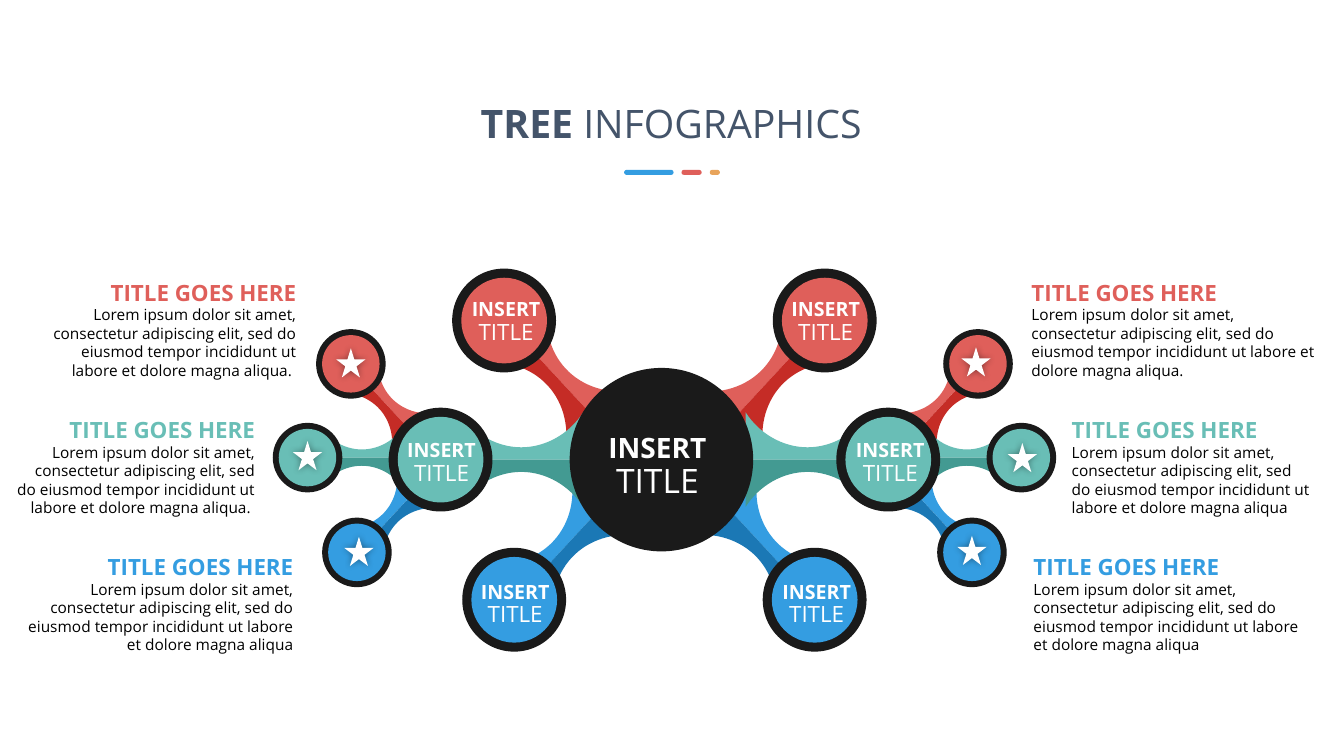
import math
import pptx
import pptx.util
import pptx.dml.color
import pptx.enum.shapes
import pptx.enum.text
from lxml import etree

Pt = pptx.util.Pt
RGB = pptx.dml.color.RGBColor
KIND = pptx.enum.shapes.MSO_SHAPE
ALIGN = pptx.enum.text.PP_ALIGN
ANCHOR = pptx.enum.text.MSO_ANCHOR
GROW = pptx.enum.text.MSO_AUTO_SIZE.SHAPE_TO_FIT_TEXT

RED, DARK_RED = RGB(0xDF, 0x5F, 0x5A), RGB(0xC5, 0x2C, 0x26)
TEAL, DARK_TEAL = RGB(0x69, 0xBE, 0xB6), RGB(0x43, 0x9A, 0x92)
BLUE, DARK_BLUE = RGB(0x34, 0x9D, 0xE1), RGB(0x1B, 0x78, 0xB5)
GOLD, SLATE = RGB(0xE8, 0xA4, 0x5B), RGB(0x44, 0x54, 0x6A)
INK, BLACK, WHITE = RGB(0x1A, 0x1A, 0x1A), RGB(0, 0, 0), RGB(255, 255, 255)
FONT = "Open Sans"
SPACE = "{http://schemas.openxmlformats.org/drawingml/2006/main}"

# All places are in inches; to_cm turns them into lengths.
AXIS = 13.18  # left x + right x of a mirrored pair
TILT = 47.2

HEAD = "TITLE GOES HERE"
LOREM = ("Lorem ipsum dolor sit amet, consectetur adipiscing elit, sed do eiusmod "
         "tempor incididunt ut labore et dolore magna aliqua")

# Right-hand half: (centre x, centre y, tilt, light, dark)
TWIGS = [(9.31, 5.14, TILT, BLUE, DARK_BLUE),
         (9.36, 4, -TILT, RED, DARK_RED),
         (9.59, 4.54, 0, TEAL, DARK_TEAL)]
LIMBS = [(7.6, 5.45, TILT, BLUE, DARK_BLUE),
         (7.66, 3.74, -TILT, RED, DARK_RED),
         (8.01, 4.56, 0, TEAL, DARK_TEAL)]
LEAVES = [(9.7, 3.61, RED), (10.13, 4.54, TEAL), (9.64, 5.48, BLUE)]
NODES = [(8.18, 3.18, RED), (8.81, 4.56, TEAL), (8.08, 5.95, BLUE)]

# (centre x, centre y, width, bold size, light size)
LABELS = [(6.52, 4.64, 1.41, 20, 24)] + [
    (x, y, 1.06, 14, 16) for x, y in
    [(8.19, 3.2), (8.83, 4.6), (8.1, 6), (5.02, 3.2), (4.38, 4.6), (5.11, 6)]]

STARS = [(3.48, 3.6), (3.05, 4.52), (3.56, 5.47),
         (9.68, 3.59), (10.14, 4.54), (9.64, 5.46)]

# (left, top, width, colour, side, ending)
NOTES = [(10.25, 5.48, 2.75, BLUE, ALIGN.LEFT, ""),
         (10.23, 2.76, 2.89, RED, ALIGN.LEFT, "."),
         (10.63, 4.12, 2.37, TEAL, ALIGN.LEFT, ""),
         (0.14, 5.48, 2.77, BLUE, ALIGN.RIGHT, ""),
         (0.51, 2.76, 2.43, RED, ALIGN.RIGHT, ". "),
         (0.14, 4.12, 2.39, TEAL, ALIGN.RIGHT, ". ")]

DASHES = [(6.19, 0.49, BLUE), (6.76, 0.2, RED), (7.04, 0.1, GOLD)]

# Upper half of a strand in a unit box: three corners, then two curves
CORNERS = [(0, 1), (1, 1), (1, 0)]
CURVES = [(0.89, 0.45), (0.7, 0.74), (0.5, 0.74),
          (0.3, 0.74), (0.11, 0.45), (0, 0)]


def to_cm(inch):
    return pptx.util.Cm(inch * 2.54)


deck = pptx.Presentation()
deck.slide_width, deck.slide_height = to_cm(13.33), to_cm(7.5)
slide = deck.slides.add_slide(deck.slide_layouts[6])
shapes = slide.shapes


def paint(shape, color):
    shape.fill.solid()
    shape.fill.fore_color.rgb = color
    shape.line.fill.background()
    shape.shadow.inherit = False
    return shape


def add_mark(kind, x, y, wide, high, color):
    """Add a preset shape centred on x, y."""
    box = map(to_cm, (x - wide / 2, y - high / 2, wide, high))
    return paint(shapes.add_shape(kind, *box), color)


def add_disc(x, y, outer, inner, color):
    for size, shade in ((outer, INK), (inner, color)):
        add_mark(KIND.OVAL, x, y, size, size, shade)


def bend(shape):
    """Turn each three lines after the corners into one Bézier curve."""
    lines = list(shape.element.iter(SPACE + "lnTo"))[len(CORNERS) - 1:]
    for i in range(0, len(lines), 3):
        curve = etree.Element(SPACE + "cubicBezTo")
        lines[i].addprevious(curve)
        for line in lines[i:i + 3]:
            curve.append(line[0])
            line.getparent().remove(line)


def add_strand(x, y, tilt, light, dark, wide, high):
    """Add the light upper and dark lower half of a strand centred on x, y."""
    turn = math.radians(tilt)
    for side, color in ((1, light), (-1, dark)):
        midx = x + side * math.sin(turn) * high / 2
        midy = y - side * math.cos(turn) * high / 2
        spots = [(to_cm(midx + (u - 0.5) * wide),
                  to_cm(midy + side * (v - 0.5) * high))
                 for u, v in CORNERS + CURVES]
        pen = shapes.build_freeform(*spots[0])
        pen.add_line_segments(spots[1:], close=True)
        half = paint(pen.convert_to_shape(), color)
        bend(half)
        half.rotation = tilt


def add_text(box, anchor):
    frame = shapes.add_textbox(*map(to_cm, box)).text_frame
    frame.word_wrap = True
    frame.vertical_anchor = anchor
    return frame


def add_run(para, text, size, color, bold):
    run = para.add_run()
    run.text = text
    font = run.font
    font.name, font.size, font.bold = FONT, Pt(size), bold
    font.color.rgb = color


def add_glow(shape):
    """Give the shape a soft shadow all round."""
    effects = shape.element.spPr.find(SPACE + "effectLst")
    soft = etree.SubElement(effects, SPACE + "outerShdw",
                            blurRad=str(int(Pt(5))), dist="0", dir="0", algn="ctr")
    tone = etree.SubElement(soft, SPACE + "srgbClr", val="000000")
    etree.SubElement(tone, SPACE + "alpha", val="40000")


def add_tier(strands, discs, wide, high, outer, inner, hub=None):
    """Add one mirrored tier of strands, then the discs at their ends."""
    for x, y, tilt, light, dark in strands:
        add_strand(x, y, tilt, light, dark, wide, high)
        add_strand(AXIS - x, y, -tilt, light, dark, wide, high)
    if hub:
        add_mark(KIND.OVAL, *hub, INK)
    for x, y, color in discs:
        for place in (x, AXIS - x):
            add_disc(place, y, outer, inner, color)


add_tier(TWIGS, LEAVES, 0.83, 0.31, 0.69, 0.57)
add_tier(LIMBS, NODES, 1.23, 0.47, 1.03, 0.85, hub=(6.56, 4.56, 1.82, 1.82))

for x, y, wide, strong, thin in LABELS:
    frame = add_text((x - wide / 2, y - 0.155, wide, 0.31), ANCHOR.MIDDLE)
    para = frame.paragraphs[0]
    para.alignment, para.line_spacing = ALIGN.CENTER, 0.9
    add_run(para, "INSERT ", strong, WHITE, True)
    add_run(para, "TITLE", thin, WHITE, False)

for x, y in STARS:
    add_glow(add_mark(KIND.STAR_5_POINT, x, y, 0.29, 0.29, WHITE))

for left, top, wide, color, side, ending in NOTES:
    frame = add_text((left, top, wide, 1.01), ANCHOR.MIDDLE)
    frame.margin_left = frame.margin_right = 0
    frame.margin_top = frame.margin_bottom = 0
    frame.auto_size = GROW
    para = frame.paragraphs[0]
    para.alignment, para.space_after = side, Pt(12)
    add_run(para, HEAD, 16, color, True)
    para.add_line_break()
    add_run(para, LOREM + ending, 11, BLACK, False)

frame = add_text((4.67, 0.94, 4, 0.57), ANCHOR.TOP)
frame.auto_size = GROW
para = frame.paragraphs[0]
add_run(para, "TREE ", 28, SLATE, True)
add_run(para, "INFOGRAPHICS", 28, SLATE, False)

for left, wide, color in DASHES:
    dash = add_mark(KIND.ROUNDED_RECTANGLE, left + wide / 2, 1.71, wide, 0.05, color)
    dash.adjustments[0] = 0.5

deck.save("out.pptx")
